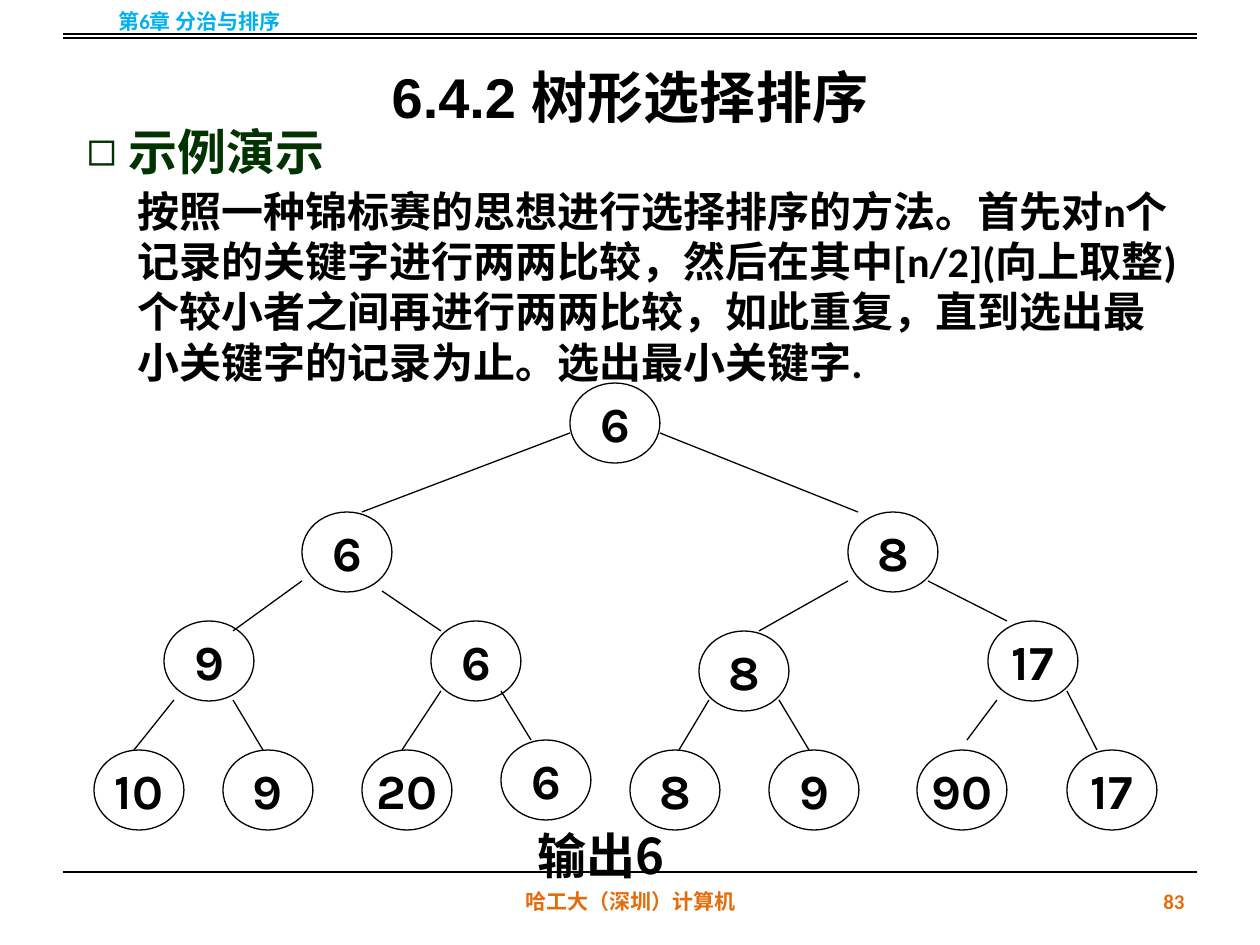
from lxml.etree import SubElement
from pptx import Presentation
from pptx.dml.color import RGBColor
from pptx.enum.shapes import MSO_CONNECTOR, MSO_SHAPE
from pptx.enum.text import MSO_ANCHOR, MSO_AUTO_SIZE, PP_ALIGN
from pptx.oxml.ns import qn
from pptx.util import Pt

PX = 914400 // 126
CJK = "Noto Sans CJK SC"
BLACK = RGBColor(0x00, 0x00, 0x00)
GREEN = RGBColor(0x00, 0x33, 0x00)
ORANGE = RGBColor(0xE4, 0x6C, 0x0A)
CYAN = RGBColor(0x00, 0xB0, 0xF0)


def write(shape, text, size, font, color, align=PP_ALIGN.LEFT, anchor=MSO_ANCHOR.TOP, wrap=True):
    tf = shape.text_frame
    tf.word_wrap = wrap
    tf.auto_size = MSO_AUTO_SIZE.NONE
    tf.vertical_anchor = anchor
    p = tf.paragraphs[0]
    p.alignment = align
    p.space_before = Pt(0)
    r = p.add_run()
    r.text = text
    r.font.size = Pt(size)
    r.font.bold = True
    r.font.name = font
    r.font.color.rgb = color
    SubElement(r.font._element, qn("a:ea")).set("typeface", CJK)
    return p


def add_line(x1, y1, x2, y2):
    line = s.shapes.add_connector(MSO_CONNECTOR.STRAIGHT, x1 * PX, y1 * PX, x2 * PX, y2 * PX)
    line.line.color.rgb = BLACK
    line.line.width = Pt(0.75)
    SubElement(line._element.spPr, qn("a:effectLst"))


prs = Presentation()
prs.slide_width, prs.slide_height = 1260 * PX, 945 * PX
s = prs.slides.add_slide(prs.slide_layouts[1])

# Title and bullet heading
title, body = s.placeholders
title.left, title.top, title.width, title.height = 63 * PX, 0, 1134 * PX, 158 * PX
p = write(title, "6.4.2 树形选择排序", 32, "Arial", BLACK, PP_ALIGN.CENTER, MSO_ANCHOR.MIDDLE)
p.line_spacing = 1.5

body.left, body.top, body.width, body.height = 74 * PX, 115 * PX, 496 * PX, 72 * PX
p = write(body, "示例演示", 28, "Times New Roman", GREEN)
pPr = p._p.get_or_add_pPr()
pPr.set("marL", str(42 * PX))
pPr.set("indent", str(-42 * PX))
SubElement(pPr, qn("a:buChar")).set("char", "◻")

# Header, footer and text boxes
description = (
    "按照一种锦标赛的思想进行选择排序的方法。首先对n个记录的关键字进行两两比较，"
    "然后在其中[n/2](向上取整)个较小者之间再进行两两比较，如此重复，"
    "直到选出最小关键字的记录为止。选出最小关键字."
)
text_boxes = [
    (0, -4, 399, 50, "第6章 分治与排序", 12, "Calibri", CYAN, PP_ALIGN.CENTER, MSO_ANCHOR.MIDDLE),
    (431, 876, 399, 50, "哈工大（深圳）计算机", 12, "Calibri", ORANGE, PP_ALIGN.CENTER, MSO_ANCHOR.MIDDLE),
    (903, 876, 294, 50, "83", 12, "Calibri", ORANGE, PP_ALIGN.RIGHT, MSO_ANCHOR.MIDDLE),
    (125, 179, 1068, 217, description, 24, "Calibri", BLACK, PP_ALIGN.LEFT, MSO_ANCHOR.TOP),
    (525, 819, 189, 72, "输出6", 28, CJK, BLACK, PP_ALIGN.LEFT, MSO_ANCHOR.TOP),
]
for x, y, w, h, *text_format in text_boxes:
    write(s.shapes.add_textbox(x * PX, y * PX, w * PX, h * PX), *text_format)

# Header and footer rules
for y in (34, 38, 872):
    add_line(63, y, 1197, y)

# Tournament tree: left, top and key of each node, level by level
nodes = [
    (570, 383, "6"),
    (302, 512, "6"), (848, 512, "8"),
    (164, 621, "9"), (431, 621, "6"), (699, 631, "8"), (988, 621, "17"),
    (94, 750, "10"), (223, 750, "9"), (362, 750, "20"), (501, 740, "6"),
    (630, 750, "8"), (769, 750, "9"), (917, 750, "90"), (1067, 750, "17"),
]
for x, y, key in nodes:
    sp = s.shapes.add_shape(MSO_SHAPE.OVAL, x * PX, y * PX, 90 * PX, 80 * PX)
    sp.shadow.inherit = False
    sp.fill.background()
    sp.line.color.rgb = BLACK
    sp.line.width = Pt(0.75)
    write(sp, key, 28, "Karla", BLACK, PP_ALIGN.CENTER, MSO_ANCHOR.MIDDLE, wrap=False)

# Branches from parent to child
branches = [
    (570, 433, 362, 512), (660, 433, 858, 512),
    (302, 581, 233, 631), (382, 591, 441, 631),
    (848, 581, 759, 631), (928, 581, 1007, 621),
    (174, 700, 134, 750), (233, 700, 263, 750),
    (441, 691, 402, 750), (501, 691, 531, 740),
    (709, 700, 679, 750), (779, 700, 809, 750),
    (997, 700, 967, 740), (1067, 691, 1097, 750),
]
for branch in branches:
    add_line(*branch)

prs.save("out.pptx")
